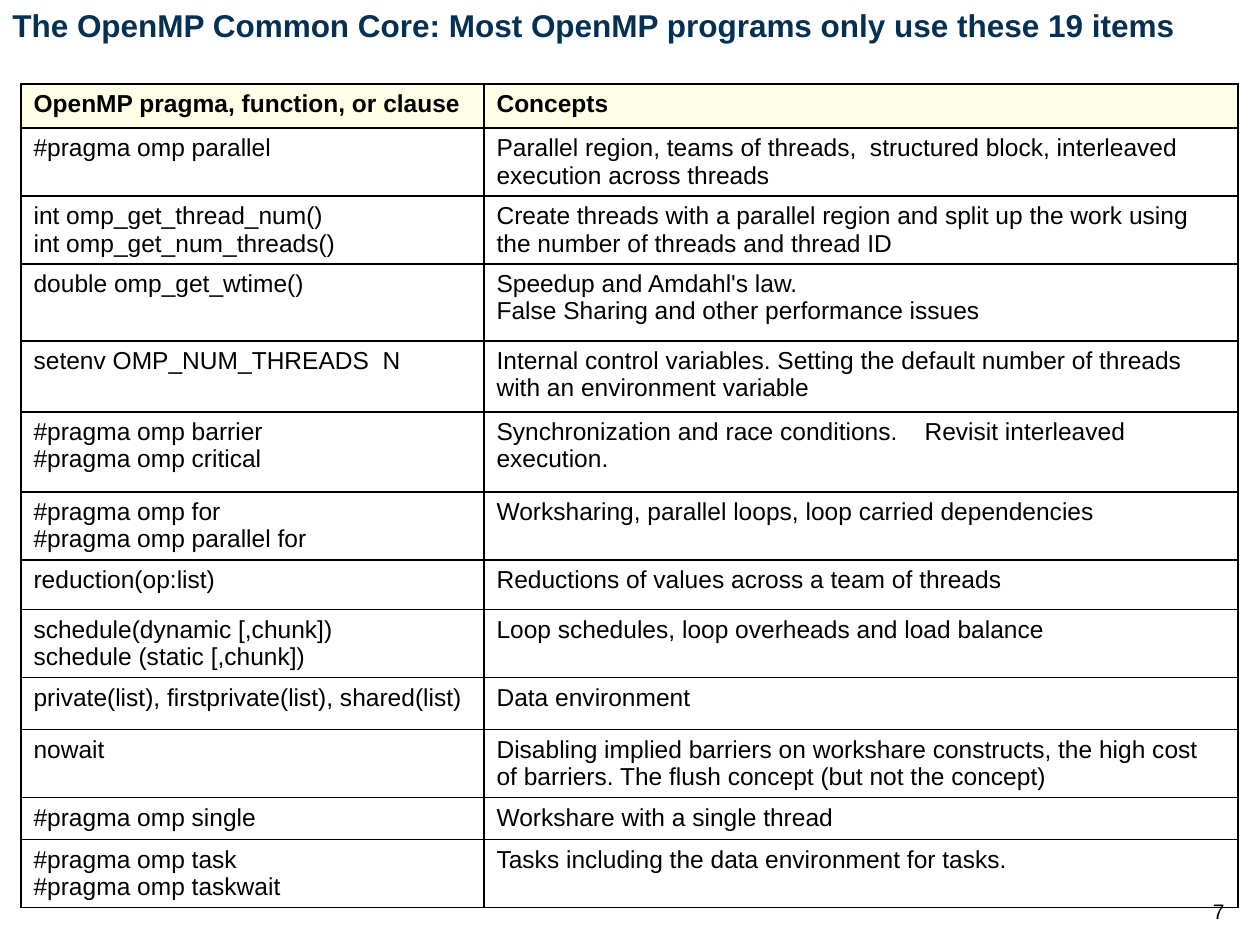
from lxml import etree
from pptx import Presentation
from pptx.dml.color import RGBColor
from pptx.enum.text import PP_ALIGN as Align
from pptx.oxml.ns import qn
from pptx.util import Emu, Pt

PX = 914400 // 126
BLACK, NAVY, CREAM, WHITE = "000000", "043054", "FFFFE7", "FFFFFF"

COLUMN_WIDTHS = [463, 754]
REVISIT_TAB = 428  # where the second remark of the barrier row starts

# Row height, pragma column, concept column
ROWS = [
    (44, "OpenMP pragma, function, or clause", "Concepts"),
    (68, "#pragma omp parallel",
     "Parallel region, teams of threads,  structured block, interleaved execution across threads"),
    (68, "int omp_get_thread_num()\nint omp_get_num_threads()",
     "Create threads with a parallel region and split up the work using "
     "the number of threads and thread ID"),
    (77, "double omp_get_wtime()",
     "Speedup and Amdahl's law.\nFalse Sharing and other performance issues"),
    (71, "setenv OMP_NUM_THREADS  N",
     "Internal control variables. Setting the default number of threads "
     "with an environment variable"),
    (80, "#pragma omp barrier\n#pragma omp critical",
     "Synchronization and race conditions.\tRevisit interleaved execution."),
    (68, "#pragma omp for\n#pragma omp parallel for",
     "Worksharing, parallel loops, loop carried dependencies"),
    (50, "reduction(op:list)", "Reductions of values across a team of threads"),
    (68, "schedule(dynamic [,chunk])\nschedule (static [,chunk])",
     "Loop schedules, loop overheads and load balance"),
    (52, "private(list), firstprivate(list), shared(list)", "Data environment"),
    (68, "nowait",
     "Disabling implied barriers on workshare constructs, the high cost "
     "of barriers. The flush concept (but not the concept)"),
    (42, "#pragma omp single", "Workshare with a single thread"),
    (68, "#pragma omp task\n#pragma omp taskwait",
     "Tasks including the data environment for tasks."),
]


def px(length):
    return Emu(length * PX)


def color(value):
    return RGBColor.from_string(value)


def write(frame, content, size=14, bold=False, fill=BLACK, align=Align.LEFT):
    """Fill a text frame, one paragraph per line of content."""
    for index, line in enumerate(content.split("\n")):
        paragraph = frame.add_paragraph() if index else frame.paragraphs[0]
        paragraph.alignment = align
        if "\t" in line:
            tabs = etree.SubElement(paragraph._p.get_or_add_pPr(), qn("a:tabLst"))
            etree.SubElement(tabs, qn("a:tab"), pos=str(px(REVISIT_TAB)), algn="l")
        run = paragraph.add_run()
        run.text = line
        run.font.name = "Arial"
        run.font.size = Pt(size)
        run.font.bold = bold
        run.font.color.rgb = color(fill)


def add_text(slide, box, content, wrap=True, **style):
    frame = slide.shapes.add_textbox(*map(px, box)).text_frame
    frame.word_wrap = wrap
    write(frame, content, **style)


def add_borders(cell):
    """Draw a thin black line on each side, ahead of the cell's fill."""
    properties = cell._tc.get_or_add_tcPr()
    for position, side in enumerate(("lnL", "lnR", "lnT", "lnB")):
        line = etree.Element(qn(f"a:{side}"), w=str(Pt(1)))
        solid = etree.SubElement(line, qn("a:solidFill"))
        etree.SubElement(solid, qn("a:srgbClr"), val=BLACK)
        properties.insert(position, line)


def add_core_table(slide, left, top):
    heights = [height for height, *_ in ROWS]
    size = sum(COLUMN_WIDTHS), sum(heights)
    table = slide.shapes.add_table(
        len(ROWS), len(COLUMN_WIDTHS), *map(px, (left, top, *size))).table
    table.horz_banding = False
    for column, width in zip(table.columns, COLUMN_WIDTHS):
        column.width = px(width)
    for index, (row, (height, *entries)) in enumerate(zip(table.rows, ROWS)):
        row.height = px(height)
        is_header = index == 0
        for cell, entry in zip(row.cells, entries):
            cell.fill.solid()
            cell.fill.fore_color.rgb = color(CREAM if is_header else WHITE)
            add_borders(cell)
            write(cell.text_frame, entry, bold=is_header)


def main():
    deck = Presentation()
    deck.slide_width, deck.slide_height = px(1260), px(945)
    slide = deck.slides.add_slide(deck.slide_layouts[6])

    # Pragmas and the concepts behind them
    add_core_table(slide, 21, 84)

    # Title and page number
    add_text(slide, (0, 0, 1324, 50),
             "The OpenMP Common Core: Most OpenMP programs only use these 19 items",
             size=18, bold=True, fill=NAVY)
    add_text(slide, (1159, 892, 78, 38), "7", size=12, align=Align.RIGHT)

    deck.save("out.pptx")


if __name__ == "__main__":
    main()
